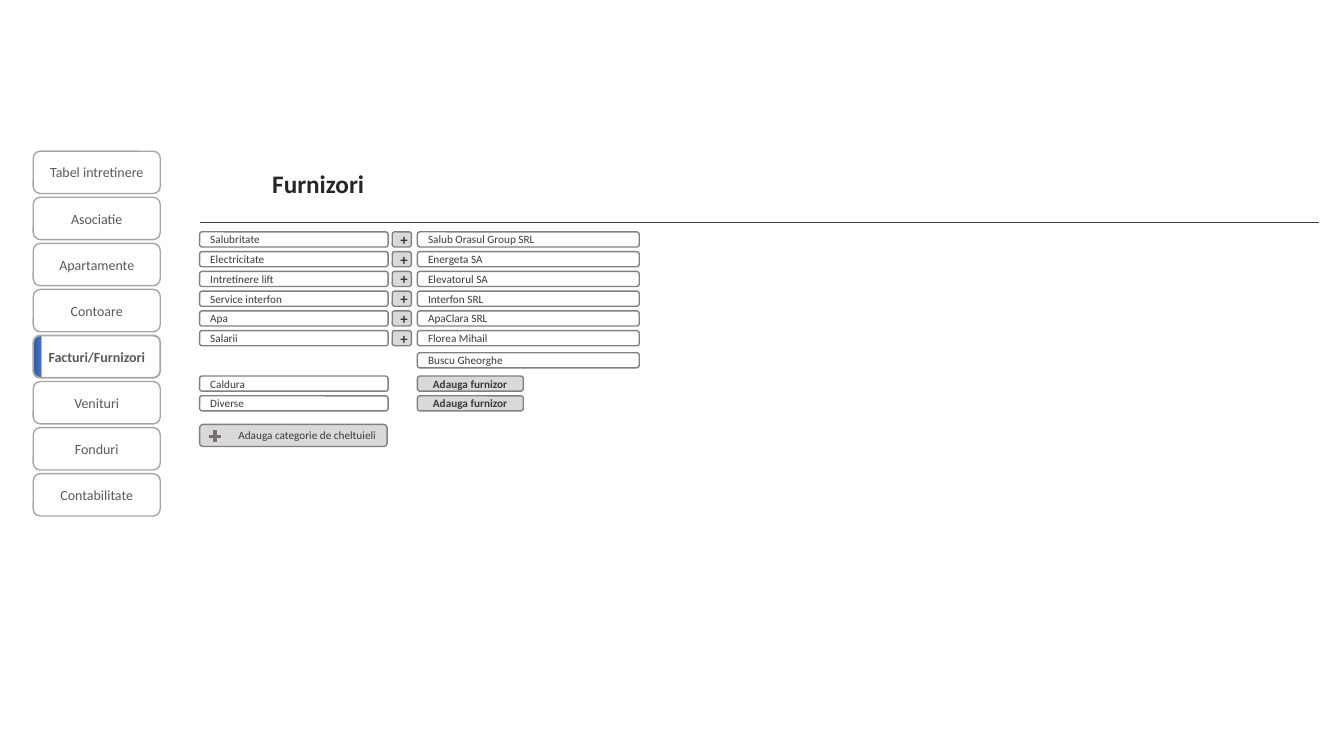
from dataclasses import dataclass

from lxml import etree
from pptx import Presentation, util as u
from pptx.dml.color import RGBColor
from pptx.enum import shapes, text
from pptx.oxml.ns import qn

COLORS = {
    "white": "FFFFFF", "button": "D9D9D9", "menu_line": "A6A6A6",
    "field_line": "808080", "menu_text": "595959", "field_text": "3B3838",
    "title": "262626", "rule": "404040", "plus": "767171",
    "accent": "4472C4", "accent_dark": "2F5597",
}
LEFT, CENTER, RIGHT = text.PP_ALIGN.LEFT, text.PP_ALIGN.CENTER, text.PP_ALIGN.RIGHT


@dataclass
class Column:
    """A column of equal boxes; lengths in inches."""
    left: float
    width: float
    top: float = 2.3
    pitch: float = 0.196
    height: float = 0.15

    def cell(self, row):
        return self.left, self.top + row * self.pitch, self.width, self.height


MENU = Column(0.33, 1.26, top=1.5, pitch=0.457, height=0.42)
CATEGORY = Column(1.98, 1.87)
PLUS = Column(3.89, 0.19)
SUPPLIER = Column(4.14, 2.2)
ADD_SUPPLIER = Column(4.14, 1.05)
ADD_CATEGORY = Column(1.98, 1.86, top=4.21, height=0.22)

MENU_ITEMS = ["Tabel intretinere", "Asociatie", "Apartamente", "Contoare",
              "Facturi/Furnizori", "Venituri", "Fonduri", "Contabilitate"]
ACTIVE_ITEM = "Facturi/Furnizori"
SUPPLIERS = [
    ("Salubritate", "Salub Orasul Group SRL"),
    ("Electricitate", "Energeta SA"),
    ("Intretinere lift", "Elevatorul SA"),
    ("Service interfon", "Interfon SRL"),
    ("Apa", "ApaClara SRL"),
    ("Salarii", "Florea Mihail"),
]
EXTRA_SUPPLIER = (6.12, "Buscu Gheorghe")
UNASSIGNED = [(7.3, "Caldura"), (8.3, "Diverse")]


class Screen:
    def __init__(self, deck):
        self.slide = deck.slides.add_slide(deck.slide_layouts[5])
        self.font = "Calibri"

    def color(self, name):
        return RGBColor.from_string(COLORS[name])

    def label(self, shape, words, size, color, bold=False, align=LEFT):
        """Set the shape's only paragraph and format it."""
        para = shape.text_frame.paragraphs[0]
        para.text = words
        para.alignment = align
        for span in para.runs:
            span.font.name = self.font
            span.font.size = u.Pt(size)
            span.font.bold = bold
            span.font.color.rgb = self.color(color)

    def title(self, words, left, top, width, height):
        box = self.slide.shapes.title
        box.left, box.top, box.width, box.height = map(u.Inches, (left, top, width, height))
        box.text_frame.vertical_anchor = text.MSO_ANCHOR.TOP
        box.text_frame.auto_size = text.MSO_AUTO_SIZE.SHAPE_TO_FIT_TEXT
        self.label(box, words, 18, "title", bold=True)

    def box(self, cell, words, parent=None, fill=None, line="field_line", weight=1,
            size=8, color="field_text", bold=False, align=LEFT, insets=(0.1, 0.1)):
        box = (parent or self.slide).shapes.add_shape(
            shapes.MSO_SHAPE.ROUNDED_RECTANGLE, *map(u.Inches, cell))
        box.shadow.inherit = False
        if fill:
            box.fill.solid()
            box.fill.fore_color.rgb = self.color(fill)
        else:
            box.fill.background()
        box.line.color.rgb = self.color(line)
        box.line.width = u.Pt(weight)
        frame = box.text_frame
        frame.word_wrap = True
        frame.vertical_anchor = text.MSO_ANCHOR.MIDDLE
        frame.margin_left, frame.margin_right = map(u.Inches, insets)
        frame.margin_top = frame.margin_bottom = 0
        self.label(box, words, size, color, bold, align)
        return box

    def button(self, cell, words, **style):
        return self.box(cell, words, fill="button", align=RIGHT, **style)

    def menu_item(self, row, words):
        active = words == ACTIVE_ITEM
        box = self.box(MENU.cell(row), words, fill="white", line="menu_line",
                       weight=1.25 if active else 1, size=10, color="menu_text",
                       bold=active, align=CENTER)
        if active:
            self.mark_left_edge(box)

    def mark_left_edge(self, box):
        """Fill the box white with an accent strip along its left side."""
        box.fill.gradient()
        box.fill.gradient_angle = 180
        stops = box.element.spPr.find(qn("a:gradFill")).find(qn("a:gsLst"))
        for stop in list(stops):
            stops.remove(stop)
        for share, name in ((93, "white"), (94, "accent"), (100, "accent_dark"), (100, "white")):
            stop = etree.SubElement(stops, qn("a:gs"), pos=str(share * 1000))
            etree.SubElement(stop, qn("a:srgbClr"), val=COLORS[name])

    def line(self, start, end, color, weight, parent=None):
        line = (parent or self.slide).shapes.add_connector(
            shapes.MSO_CONNECTOR.STRAIGHT, *map(u.Inches, (*start, *end)))
        line.line.color.rgb = self.color(color)
        line.line.width = u.Pt(weight)
        etree.SubElement(line.element.spPr, qn("a:effectLst"))

    def add_category_button(self, words):
        group = self.slide.shapes.add_group_shape()
        self.button(ADD_CATEGORY.cell(0), words, parent=group)
        x, y, arm = 2.13, 4.33, 0.06
        self.line((x, y - arm), (x, y + arm), "plus", 2.75, group)
        self.line((x - arm, y), (x + arm, y), "plus", 2.75, group)


def main():
    deck = Presentation()
    deck.slide_width, deck.slide_height = u.Inches(13.33), u.Inches(7.5)
    screen = Screen(deck)

    for row, item in enumerate(MENU_ITEMS):
        screen.menu_item(row, item)

    screen.title("Furnizori", 2.6, 1.62, 2.02, 0.4)
    for left in (1.98, 2.18):
        screen.line((left, 2.21), (left + 10.9, 2.21), "rule", 0.5)

    for row, (category, supplier) in enumerate(SUPPLIERS):
        screen.box(CATEGORY.cell(row), category)
        screen.button(PLUS.cell(row), "+", size=10.5, bold=True, insets=(0, 0.03))
        screen.box(SUPPLIER.cell(row), supplier)
    row, supplier = EXTRA_SUPPLIER
    screen.box(SUPPLIER.cell(row), supplier)

    for row, category in UNASSIGNED:
        screen.box(CATEGORY.cell(row), category)
        screen.button(ADD_SUPPLIER.cell(row), "Adauga furnizor", bold=True, insets=(0.1, 0.15))
    screen.add_category_button("Adauga categorie de cheltuieli")

    deck.save("out.pptx")


if __name__ == "__main__":
    main()
